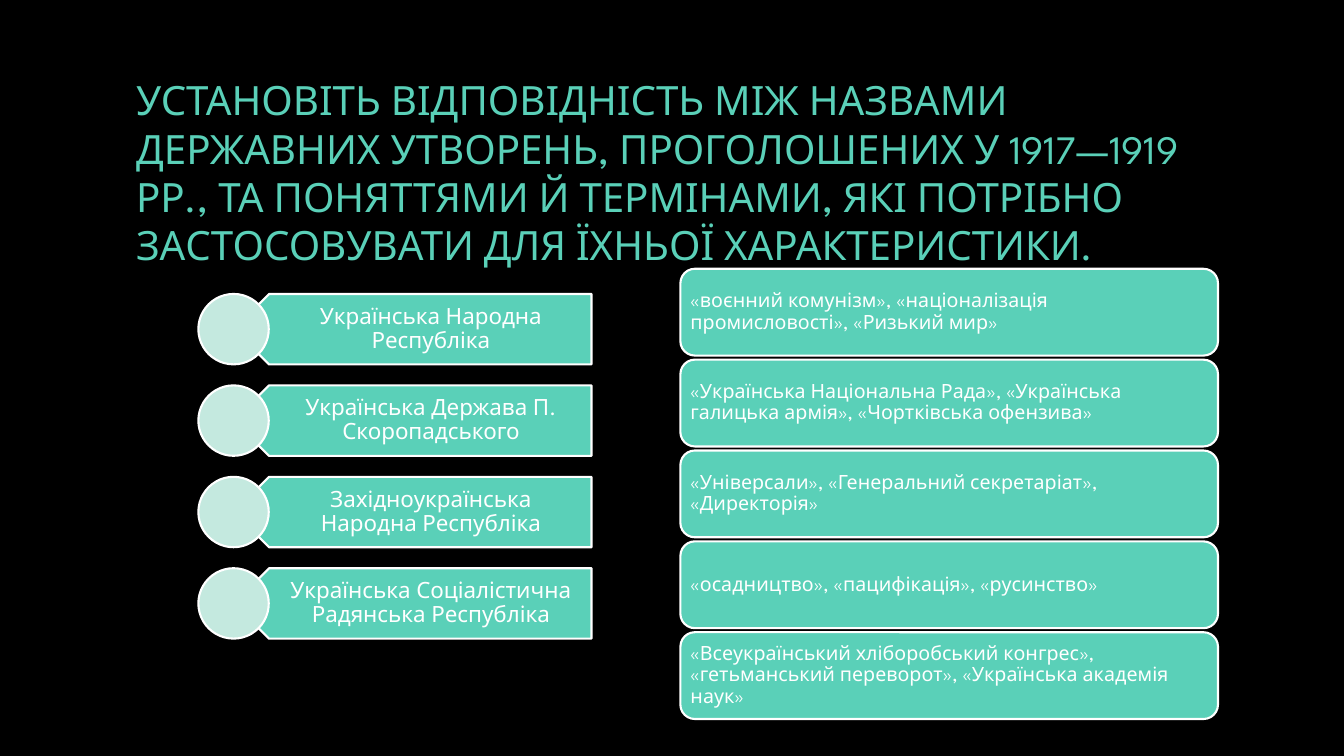
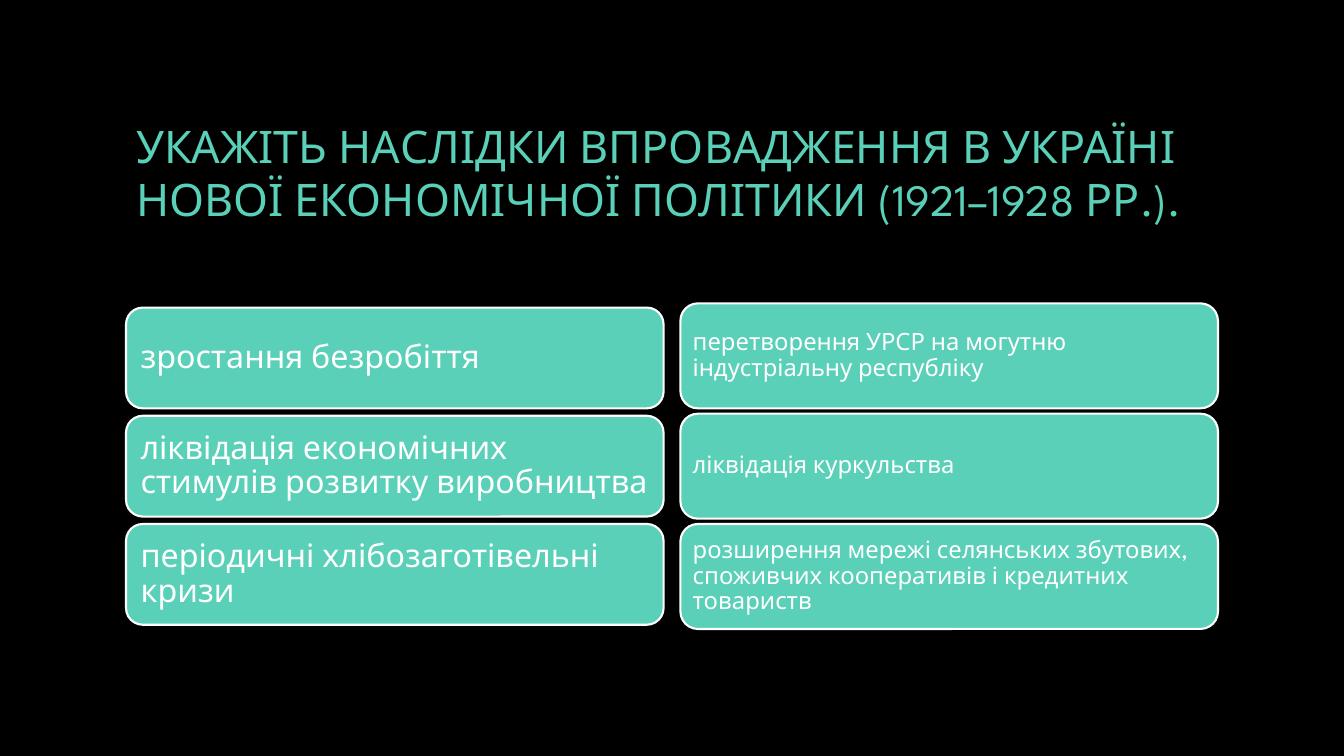
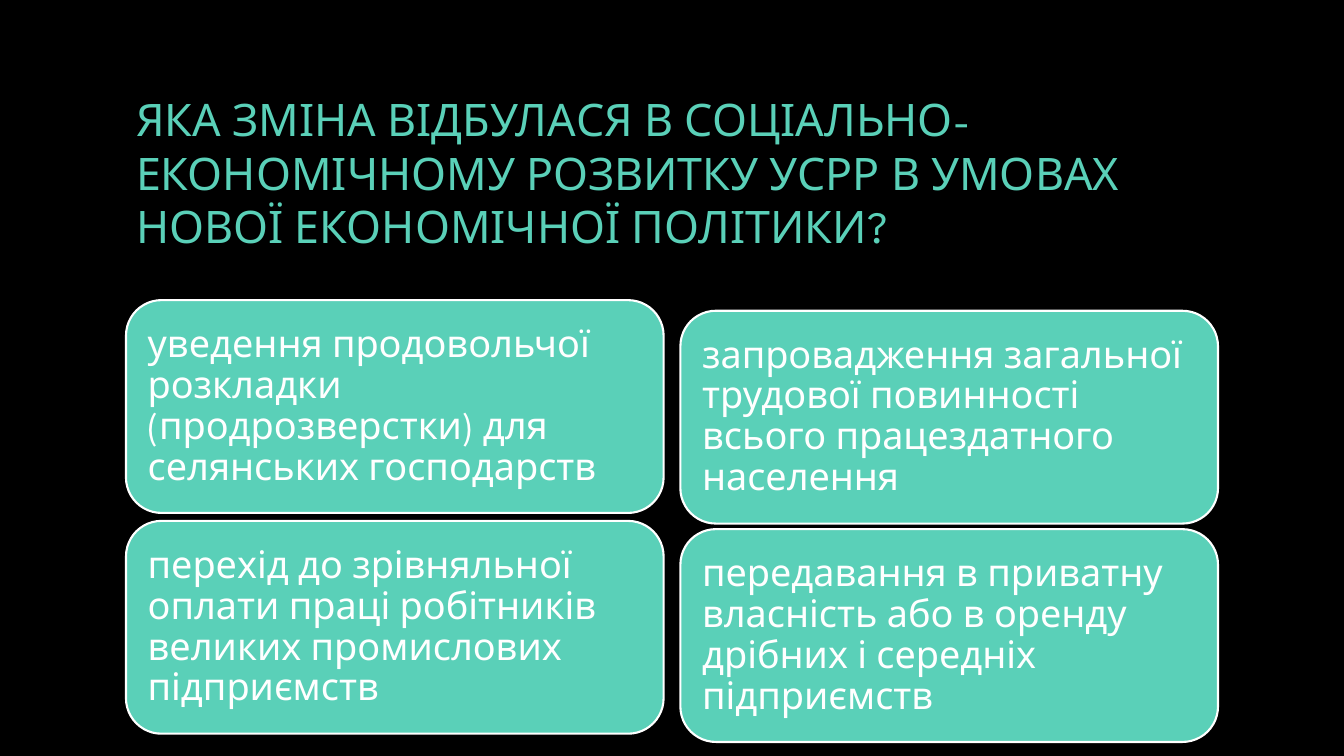
from pptx import Presentation
from pptx.dml.color import RGBColor
from pptx.enum.shapes import MSO_SHAPE
from pptx.enum.text import MSO_ANCHOR, MSO_AUTO_SIZE, PP_ALIGN
from pptx.util import Pt

COLORS = {"back": "000000", "teal": "5AD0B8", "mint": "C4E9DF", "white": "FFFFFF"}
FONT = "League Spartan"
LEFT, RIGHT, WIDE = 90, 486, 384


def color(name):
    return RGBColor.from_string(COLORS[name])


def write(shape, text, size, tint="white", align=PP_ALIGN.LEFT, space=0.9, pads=(7.2, 3.6, 7.2, 3.6)):
    """Fill a shape with one paragraph; pads are left, top, right, bottom."""
    frame = shape.text_frame
    frame.word_wrap = True
    frame.auto_size = MSO_AUTO_SIZE.NONE
    frame.vertical_anchor = MSO_ANCHOR.MIDDLE
    frame.margin_left, frame.margin_top, frame.margin_right, frame.margin_bottom = map(Pt, pads)
    para = frame.paragraphs[0]
    para.alignment = align
    para.line_spacing = space
    run = para.add_run()
    run.text = text
    run.font.name = FONT
    run.font.size = Pt(size)
    run.font.color.rgb = color(tint)


def draw(slide, kind, left, top, width, height, fill="teal"):
    shape = slide.shapes.add_shape(kind, Pt(left), Pt(top), Pt(width), Pt(height))
    shape.shadow.inherit = False
    shape.fill.solid()
    shape.fill.fore_color.rgb = color(fill)
    shape.line.color.rgb = color("white")
    shape.line.width = Pt(1.5)
    return shape


def start(deck, text, size):
    """Add a slide with its title."""
    slide = deck.slides.add_slide(deck.slide_layouts[5])
    title = slide.shapes.title
    title.left, title.top, title.width, title.height = Pt(90), Pt(48), Pt(780), Pt(150)
    write(title, text, size, "teal", space=1.0)
    return slide


def stack(slide, left, top, height, step, size, pad, texts):
    """Put rounded boxes under each other, step apart from top to top."""
    for row, text in enumerate(texts):
        box = draw(slide, MSO_SHAPE.ROUNDED_RECTANGLE, left, top + row * step, WIDE, height)
        write(box, text, size, pads=(pad,) * 4)


def badges(slide, top, height, step, texts):
    """Put left-pointing labels under each other, each with a disc at its tip."""
    for row, text in enumerate(texts):
        y = top + row * step
        arrow = draw(slide, MSO_SHAPE.PENTAGON, 167, y, 255.5, height)
        arrow.rotation = 180
        label = slide.shapes.add_textbox(Pt(179.5), Pt(y), Pt(243), Pt(height))
        write(label, text, 16, align=PP_ALIGN.CENTER, pads=(22.3, 5, 8.6, 5))
        draw(slide, MSO_SHAPE.OVAL, 141.7, y, height, height, "mint")


def main():
    deck = Presentation()
    deck.slide_width, deck.slide_height = Pt(960), Pt(540)
    back = deck.slide_master.background.fill
    back.solid()
    back.fore_color.rgb = color("back")

    slide = start(deck, "УСТАНОВІТЬ ВІДПОВІДНІСТЬ МІЖ НАЗВАМИ ДЕРЖАВНИХ УТВОРЕНЬ, "
                  "ПРОГОЛОШЕНИХ У 1917—1919 РР., ТА ПОНЯТТЯМИ Й ТЕРМІНАМИ, "
                  "ЯКІ ПОТРІБНО ЗАСТОСОВУВАТИ ДЛЯ ЇХНЬОЇ ХАРАКТЕРИСТИКИ.", 28.8)
    badges(slide, 210, 50.3, 65.3, [
        "Українська Народна Республіка",
        "Українська Держава П. Скоропадського",
        "Західноукраїнська Народна Республіка",
        "Українська Соціалістична Радянська Республіка",
    ])
    stack(slide, RIGHT, 192, 62, 64.9, 14, 4.2, [
        "«воєнний комунізм», «націоналізація промисловості», «Ризький мир»",
        "«Українська Національна Рада», «Українська галицька армія», «Чортківська офензива»",
        "«Універсали», «Генеральний секретаріат», «Директорія»",
        "«осадництво», «пацифікація», «русинство»",
        "«Всеукраїнський хліборобський конгрес», «гетьманський переворот», "
        "«Українська академія наук»",
    ])

    slide = start(deck, "УКАЖІТЬ НАСЛІДКИ ВПРОВАДЖЕННЯ В УКРАЇНІ НОВОЇ ЕКОНОМІЧНОЇ "
                  "ПОЛІТИКИ (1921–1928 РР.).", 32)
    stack(slide, LEFT, 219.7, 72, 77.3, 23, 6.9, [
        "зростання безробіття",
        "ліквідація економічних стимулів розвитку виробництва",
        "періодичні хлібозаготівельні кризи",
    ])
    stack(slide, RIGHT, 216.7, 75, 78.8, 17, 5.1, [
        "перетворення УРСР на могутню індустріальну республіку",
        "ліквідація куркульства",
        "розширення мережі селянських збутових, споживчих кооперативів і кредитних товариств",
    ])

    slide = start(deck, "ЯКА ЗМІНА ВІДБУЛАСЯ В СОЦІАЛЬНО-ЕКОНОМІЧНОМУ РОЗВИТКУ УСРР "
                  "В УМОВАХ НОВОЇ ЕКОНОМІЧНОЇ ПОЛІТИКИ?", 32)
    stack(slide, LEFT, 214.4, 152, 157.7, 27, 8.1, [
        "уведення продовольчої розкладки (продрозверстки) для селянських господарств",
        "перехід до зрівняльної оплати праці робітників великих промислових підприємств",
    ])
    stack(slide, RIGHT, 222, 152, 156, 27, 8.1, [
        "запровадження загальної трудової повинності всього працездатного населення",
        "передавання в приватну власність або в оренду дрібних і середніх підприємств",
    ])
    deck.save("out.pptx")


if __name__ == "__main__":
    main()
